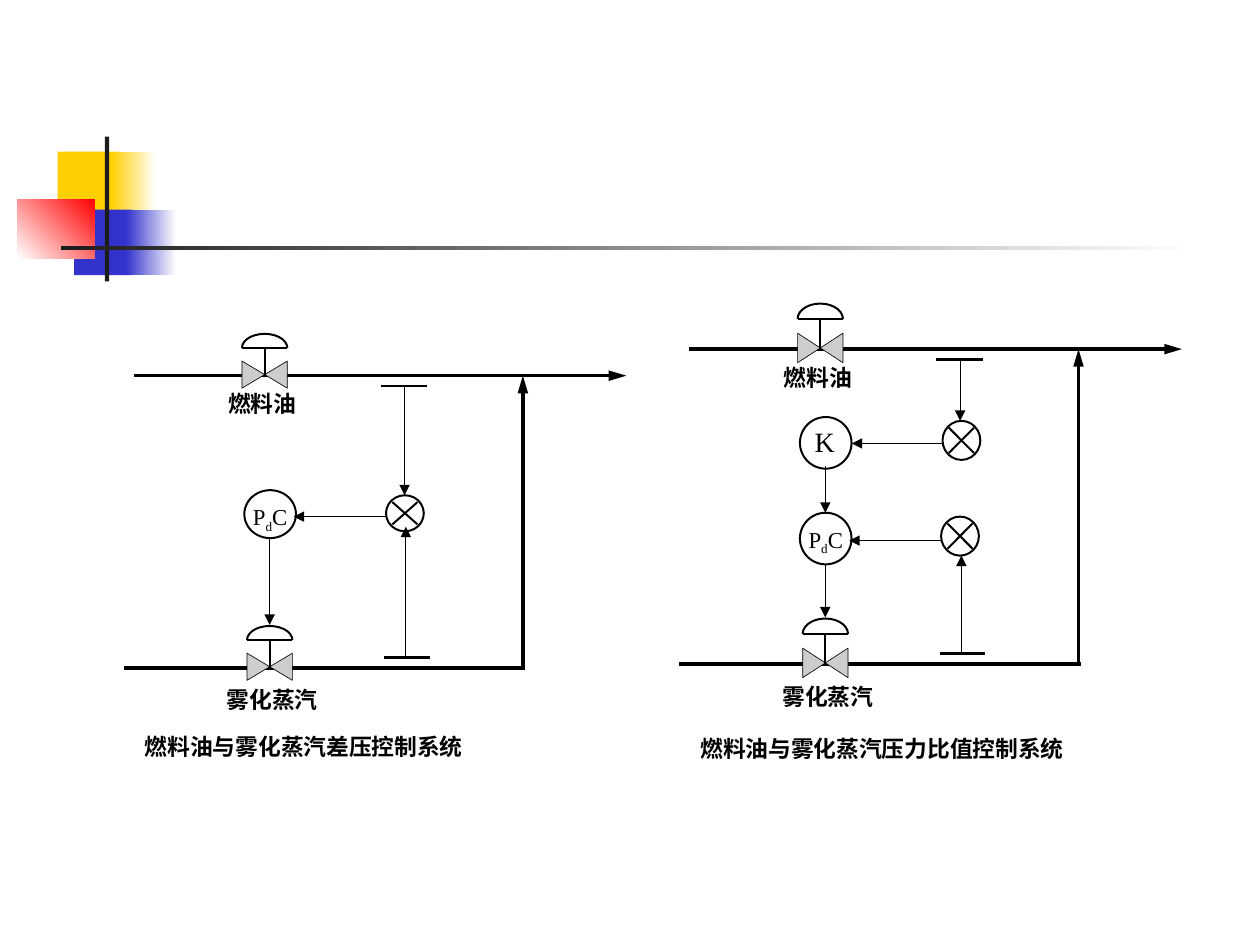
import math

from lxml import etree
from pptx import Presentation
from pptx.dml.color import RGBColor
from pptx.enum import shapes, text
from pptx.oxml import ns
from pptx.util import Pt

BLACK = RGBColor(0x00, 0x00, 0x00)
WHITE = RGBColor(0xFF, 0xFF, 0xFF)
GREY = RGBColor(0xCD, 0xCD, 0xCD)
CHARCOAL = RGBColor(0x1C, 0x1C, 0x1C)
YELLOW = RGBColor(0xFF, 0xCF, 0x01)
BLUE = RGBColor(0x33, 0x33, 0xCC)
RED = RGBColor(0xFF, 0x00, 0x00)

CHINESE = "Noto Sans CJK SC"
LATIN = "Times New Roman"
PIPE, TAP, OUTLINE, SIGNAL, HAIRLINE = 2, 1.5, 1.13, 0.75, 0.37
PIPE_RATIO = 0.77
CONTROLLER_X, CONTROLLER_WIDTH = 69, 29.5
TRANSMITTER_X, TRANSMITTER_WIDTH = 150, 21.6
SIGNAL_X = 83.5


def add_line(page, start, end, weight, head_length=None):
    line = page.shapes.add_connector(
        shapes.MSO_CONNECTOR.STRAIGHT, *[Pt(value) for value in (*start, *end)])
    line.line.color.rgb = BLACK
    line.line.width = Pt(weight)
    if head_length:
        etree.SubElement(line.line._get_or_add_ln(), ns.qn("a:tailEnd"),
                         type="triangle", w="med", len=head_length)
    etree.SubElement(line._element.spPr, ns.qn("a:effectLst"))


def add_outline(page, points, weight, fill=None, close=False):
    corners = [(Pt(x), Pt(y)) for x, y in points]
    builder = page.shapes.build_freeform(*corners[0])
    builder.add_line_segments(corners[1:], close=close)
    shape = builder.convert_to_shape()
    shape.shadow.inherit = False
    shape.line.color.rgb = BLACK
    shape.line.width = Pt(weight)
    if fill is None:
        shape.fill.background()
    else:
        shape.fill.solid()
        shape.fill.fore_color.rgb = fill


def add_circle(page, left, top, width, height):
    circle = page.shapes.add_shape(
        shapes.MSO_SHAPE.OVAL, Pt(left), Pt(top), Pt(width), Pt(height))
    circle.shadow.inherit = False
    circle.fill.solid()
    circle.fill.fore_color.rgb = WHITE
    circle.line.color.rgb = BLACK
    circle.line.width = Pt(OUTLINE)


def add_label(page, left, top, width, height, parts, font, size=13, bold=False):
    box = page.shapes.add_textbox(Pt(left), Pt(top), Pt(width), Pt(height))
    frame = box.text_frame
    frame.margin_left = frame.margin_right = 0
    frame.margin_top = frame.margin_bottom = 0
    frame.word_wrap = False
    frame.auto_size = text.MSO_AUTO_SIZE.SHAPE_TO_FIT_TEXT
    for words, baseline in parts:
        span = frame.paragraphs[0].add_run()
        span.text = words
        span.font.size = Pt(size)
        span.font.bold = bold
        span.font.name = font
        span.font.color.rgb = BLACK
        properties = span.font._element
        etree.SubElement(properties, ns.qn("a:ea"), typeface=font)
        if baseline:
            properties.set("baseline", str(baseline))


def add_name(page, left, top, words):
    add_label(page, left, top, 13 * len(words), 16, [(words, 0)], CHINESE, bold=True)


def draw_valve(page, left, top, height):
    width = 25.9
    right, middle = left + width, left + width / 2
    dome, body, bottom = top + 0.26 * height, top + height / 2, top + height
    add_outline(page, [(right, bottom), (right, body), (left, bottom), (left, body)],
                HAIRLINE, GREY, close=True)
    add_line(page, (middle, top + PIPE_RATIO * height), (middle, dome), OUTLINE)
    add_line(page, (left, dome), (right, dome), OUTLINE)
    angles = [math.pi * step / 14 for step in range(15)]
    add_outline(page, [(middle - width / 2 * math.cos(angle),
                        dome - (dome - top) * math.sin(angle)) for angle in angles],
                OUTLINE)


def draw_transmitter(page, left, top, height):
    add_circle(page, left, top, TRANSMITTER_WIDTH, height)
    near, far = left + 3.6, left + TRANSMITTER_WIDTH - 3.6
    upper, lower = top + 3.9, top + height - 3.9
    add_line(page, (far, upper), (near, lower), OUTLINE)
    add_line(page, (near, upper), (far, lower), OUTLINE)


def draw_difference_controller(page, left, top, height):
    add_circle(page, left, top, CONTROLLER_WIDTH, height)
    add_label(page, left + 5, top + 7.2, 22, 18,
              [("P", 0), ("d", -25000), ("C", 0)], LATIN)


def draw_ratio_controller(page, left, top, height):
    add_circle(page, left, top, CONTROLLER_WIDTH, height)
    add_label(page, left + 8.4, top + 4.3, 13, 19.4, [("K", 0)], LATIN, size=16)


def draw_piping(page, left, top, valve_height, lower_pipe, caption):
    oil = top + PIPE_RATIO * valve_height
    steam = top + lower_pipe
    steam_valve = steam - PIPE_RATIO * valve_height
    riser = left + 228.2
    add_line(page, (left + 5.8, oil), (left + 287.3, oil), PIPE, "lg")
    add_line(page, (riser, steam + 0.7), (riser, oil), PIPE, "lg")
    add_line(page, (left, steam), (riser + 1.5, steam), PIPE)
    draw_valve(page, left + 67.7, top, valve_height)
    draw_valve(page, left + 70.6, steam_valve, valve_height)
    add_line(page, (left + 147, oil + 6), (left + 173.5, oil + 6), TAP)
    add_line(page, (left + 149, steam - 6), (left + 175, steam - 6), TAP)
    add_name(page, left + 59.8, top + valve_height + 0.8, "燃料油")
    add_name(page, left + 59, steam_valve + valve_height + 2.9, "雾化蒸汽")
    add_name(page, left + 12.2, steam + 1.2 * valve_height, caption)


def draw_signals(page, left, top, signals):
    for x1, y1, x2, y2 in signals:
        add_line(page, (left + x1, top + y1), (left + x2, top + y2), SIGNAL, "med")


def draw_difference_system(page, left, top):
    draw_piping(page, left, top, 31, 190.8, "燃料油与雾化蒸汽差压控制系统")
    draw_difference_controller(page, left + CONTROLLER_X, top + 89.3, 27.4)
    draw_transmitter(page, left + TRANSMITTER_X, top + 92.2, 20.6)
    draw_signals(page, left, top, [
        (160.6, 29.5, 160.6, 92.2),
        (161.3, 185, 161.3, 110.2),
        (TRANSMITTER_X, 104.4, 97.2, 104.4),
        (SIGNAL_X, 116.7, SIGNAL_X, 166.3)])


def draw_ratio_system(page, left, top):
    draw_piping(page, left, top, 33.8, 206, "燃料油与雾化蒸汽压力比值控制系统")
    draw_ratio_controller(page, left + CONTROLLER_X, top + 64.8, 29.5)
    draw_difference_controller(page, left + CONTROLLER_X, top + 119.5, 29.5)
    draw_transmitter(page, left + TRANSMITTER_X + 0.5, top + 67, 22.3)
    draw_transmitter(page, left + TRANSMITTER_X - 0.3, top + 121.7, 22.3)
    draw_signals(page, left, top, [
        (160.6, 32.4, 160.6, 67),
        (161.3, 199.4, 161.3, 144),
        (TRANSMITTER_X, 79.9, 98.6, 79.9),
        (TRANSMITTER_X, 135.4, 97.2, 135.4),
        (SIGNAL_X, 92.9, SIGNAL_X, 119.5),
        (SIGNAL_X, 149, SIGNAL_X, 179.3)])


def draw_ornament(page, left, top):
    blocks = [
        (23, 8.6, 34.6, 37.4, YELLOW, None),
        (53.3, 8.6, 25.9, 37.4, YELLOW, 0),
        (32.4, 41.8, 33.1, 37.4, BLUE, None),
        (61.9, 41.8, 28.8, 37.4, BLUE, 0),
        (0, 36, 44.3, 33.5, RED, 225),
        (49.9, 0, 2.5, 82.8, CHARCOAL, None),
        (24.8, 62.4, 648, 2.5, CHARCOAL, 0)]
    for x, y, width, height, color, angle in blocks:
        block = page.shapes.add_shape(shapes.MSO_SHAPE.RECTANGLE, Pt(left + x),
                                      Pt(top + y), Pt(width), Pt(height))
        block.shadow.inherit = False
        block.line.fill.background()
        if angle is None:
            block.fill.solid()
            block.fill.fore_color.rgb = color
        else:
            block.fill.gradient()
            block.fill.gradient_angle = angle
            for stop, shade in zip(block.fill.gradient_stops, (color, WHITE)):
                stop.color.rgb = shade


def main():
    deck = Presentation()
    deck.slide_width, deck.slide_height = Pt(720), Pt(540)
    page = deck.slides.add_slide(deck.slide_layouts[6])
    draw_ornament(page, 10, 78)
    draw_difference_system(page, 70.6, 190.8)
    draw_ratio_system(page, 388.1, 173.5)
    deck.save("out.pptx")


if __name__ == "__main__":
    main()
